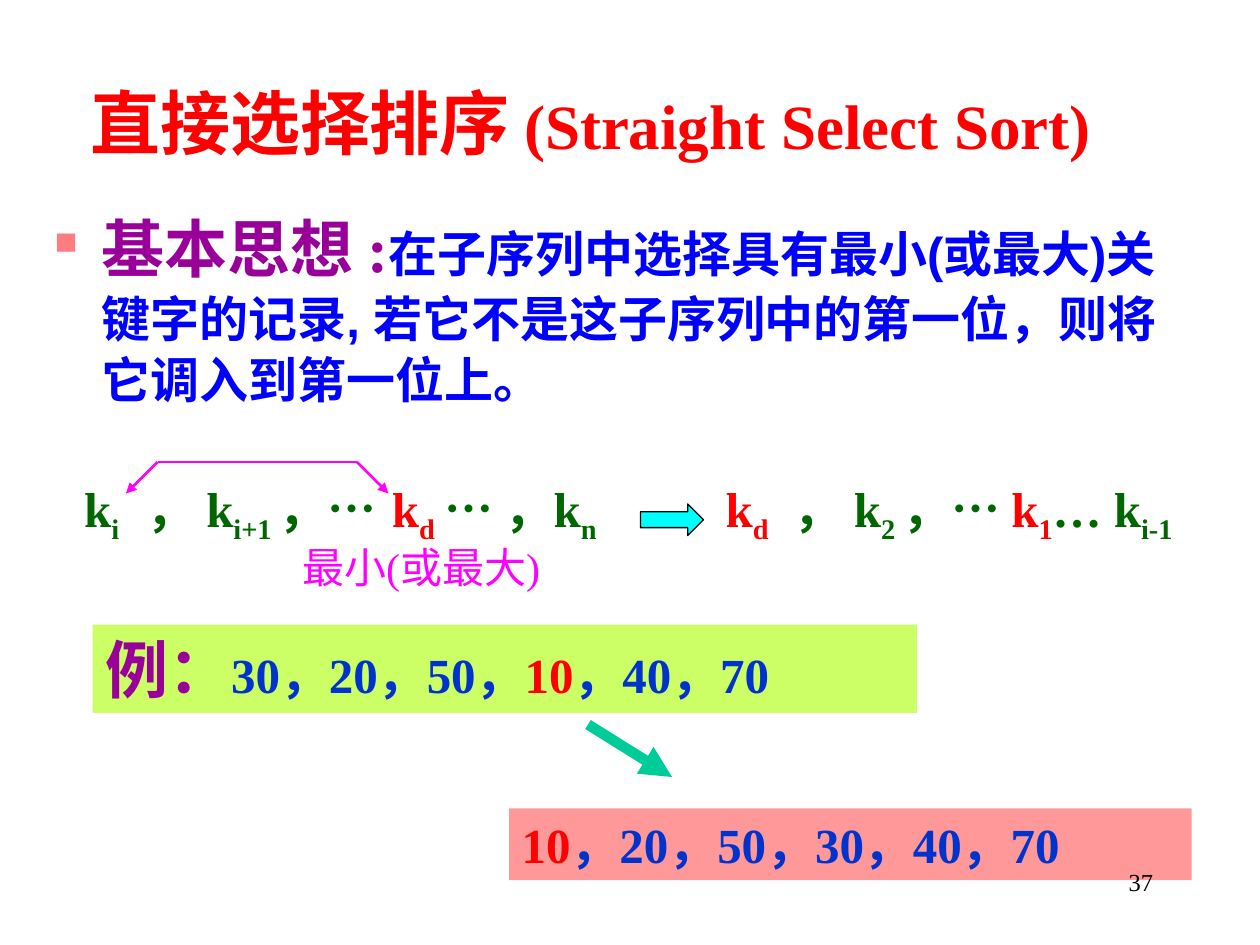
from lxml import etree
from pptx import Presentation
from pptx.dml.color import RGBColor
from pptx.enum.shapes import MSO_CONNECTOR, MSO_SHAPE
from pptx.enum.text import MSO_ANCHOR, MSO_AUTO_SIZE, PP_ALIGN
from pptx.oxml import parse_xml
from pptx.oxml.ns import nsdecls, qn
from pptx.util import Pt

RECTANGLE, RIGHT_ARROW = MSO_SHAPE.RECTANGLE, MSO_SHAPE.RIGHT_ARROW
STRAIGHT = MSO_CONNECTOR.STRAIGHT
LEFT, CENTER, RIGHT = PP_ALIGN.LEFT, PP_ALIGN.CENTER, PP_ALIGN.RIGHT
TOP = MSO_ANCHOR.TOP
GROW = MSO_AUTO_SIZE.SHAPE_TO_FIT_TEXT

SERIF, SANS, CJK = "Times New Roman", "Arial", "Noto Sans CJK SC"
RED, GREEN, BLUE = "FF0000", "006600", "0033CC"
PURPLE, MAGENTA, BLACK = "990099", "FF00FF", "000000"


def color(hex_value):
    return RGBColor.from_string(hex_value)


class SlideBuilder:
    def __init__(self, slide, font=SERIF, size=28):
        self.slide = slide
        self.font = font
        self.size = size

    def run(self, paragraph, text, hex_value, size=None, font=None,
            bold=True, sub=False):
        run = paragraph.add_run()
        run.text = text
        run.font.name = font or self.font
        run.font.size = Pt(size or self.size)
        run.font.bold = bold
        run.font.color.rgb = color(hex_value)
        properties = run.font._element
        etree.SubElement(properties, qn("a:ea")).set("typeface", CJK)
        if sub:
            properties.set("baseline", "-25000")

    def fill_text(self, shape, runs, align=LEFT, wrap=False, tabs=()):
        """Write runs, each a dict of arguments for run()."""
        frame = shape.text_frame
        frame.word_wrap = wrap
        frame.vertical_anchor = TOP
        if not wrap:
            frame.auto_size = GROW
        paragraph = frame.paragraphs[0]
        paragraph.alignment = align
        if tabs:
            stops = etree.SubElement(
                paragraph._p.get_or_add_pPr(), qn("a:tabLst"))
            for position in tabs:
                etree.SubElement(stops, qn("a:tab"),
                                 pos=str(Pt(position)), algn="l")
        for arguments in runs:
            self.run(paragraph, **arguments)
        return paragraph

    def text(self, box, runs, **options):
        shape = self.slide.shapes.add_textbox(*map(Pt, box))
        return self.fill_text(shape, runs, **options)

    def bullet_text(self, box, runs, bullet_color, indent):
        paragraph = self.text(box, runs, wrap=True)
        properties = paragraph._p.get_or_add_pPr()
        properties.set("marL", str(Pt(indent)))
        properties.set("indent", str(-Pt(indent)))
        for xml in (
            f'<a:buClr {nsdecls("a")}><a:srgbClr val="{bullet_color}"/></a:buClr>',
            f'<a:buSzPct {nsdecls("a")} val="50000"/>',
            f'<a:buChar {nsdecls("a")} char="■"/>',
        ):
            properties.append(parse_xml(xml))
        paragraph.line_spacing = 1.05

    def shape(self, kind, box, fill, outline=None):
        shape = self.slide.shapes.add_shape(kind, *map(Pt, box))
        shape.shadow.inherit = False
        shape.fill.solid()
        shape.fill.fore_color.rgb = color(fill)
        if outline:
            shape.line.color.rgb = color(outline)
            shape.line.width = Pt(0.75)
        else:
            shape.line.fill.background()
        return shape

    def panel(self, box, fill, runs):
        self.fill_text(self.shape(RECTANGLE, box, fill), runs)

    def line(self, start, end, hex_value, width, arrow=True):
        line = self.slide.shapes.add_connector(
            STRAIGHT, *map(Pt, start + end))
        line.line.color.rgb = color(hex_value)
        line.line.width = Pt(width)
        if arrow:
            etree.SubElement(line.line._get_or_add_ln(),
                             qn("a:tailEnd")).set("type", "triangle")
        etree.SubElement(line._element.spPr, qn("a:effectLst"))


def part(text, hex_value, **style):
    return dict(text=text, hex_value=hex_value, **style)


def key(subscript, hex_value, letter="k"):
    """Give the two runs of a key with its subscript."""
    return [part(letter, hex_value), part(subscript, hex_value, sub=True)]


def main():
    deck = Presentation()
    deck.slide_width, deck.slide_height = Pt(720), Pt(540)
    builder = SlideBuilder(deck.slides.add_slide(deck.slide_layouts[6]))

    builder.bullet_text((24, 114, 666, 132), [
        part("基本思想 :", PURPLE, size=36),
        part("在子序列中选择具有最小(或最大)关键字的记录, "
             "若它不是这子序列中的第一位，则将它调入到第一位上。",
             "0000FF", font=SANS),
    ], bullet_color="FF7C80", indent=27)
    builder.text((44.5, 42, 606, 55.4), [
        part("直接选择排序", RED, size=40, font=CJK),
        part(" ", RED, size=36, font=CJK),
        part("(Straight Select Sort)", RED, size=36),
    ])

    builder.text((41, 270, 322, 45.4), [
        *key("i", GREEN),
        *key("i+1 ", GREEN, "\t， k"),
        *key("n", GREEN, "，…\t… ，k"),
    ], tabs=(35.5, 206))
    builder.text((407.5, 270, 300, 45.4), [
        *key("d", RED),
        *key("2 ", GREEN, "\t， k"),
        part("，… ", GREEN),
        *key("1", RED),
        *key("i-1", GREEN, "… k"),
    ], tabs=(39,))
    builder.text((165.6, 306, 168, 36), [
        part("最小(或最大)", MAGENTA, size=24, bold=False)])
    builder.shape(RIGHT_ARROW, (366, 288, 36, 18), "00FFFF", BLACK)

    builder.panel((53, 357, 471, 50.4), "CCFF66", [
        part("例：", PURPLE, size=36),
        part("30，20，50，", BLUE),
        part("10", RED),
        part("，40，70", BLUE),
    ])
    builder.panel((291, 462, 390, 41), "FF9999", [
        part("10", RED),
        part("，20，50，30，40，70", BLUE),
    ])
    builder.line((336, 414), (384, 444), "00CC99", 6)

    builder.text((216.7, 270, 39, 45.4), key("d", RED), align=CENTER)
    swap_left, swap_right = (90, 264), (204, 264)
    builder.line(swap_left, swap_right, MAGENTA, 1.5, arrow=False)
    builder.line(swap_right, (222, 282), MAGENTA, 1.5)
    builder.line(swap_left, (72, 282), MAGENTA, 1.5)

    builder.text((516, 492, 150, 36), [
        part("37", BLACK, size=14, bold=False)], align=RIGHT, wrap=True)

    deck.save("out.pptx")


if __name__ == "__main__":
    main()
